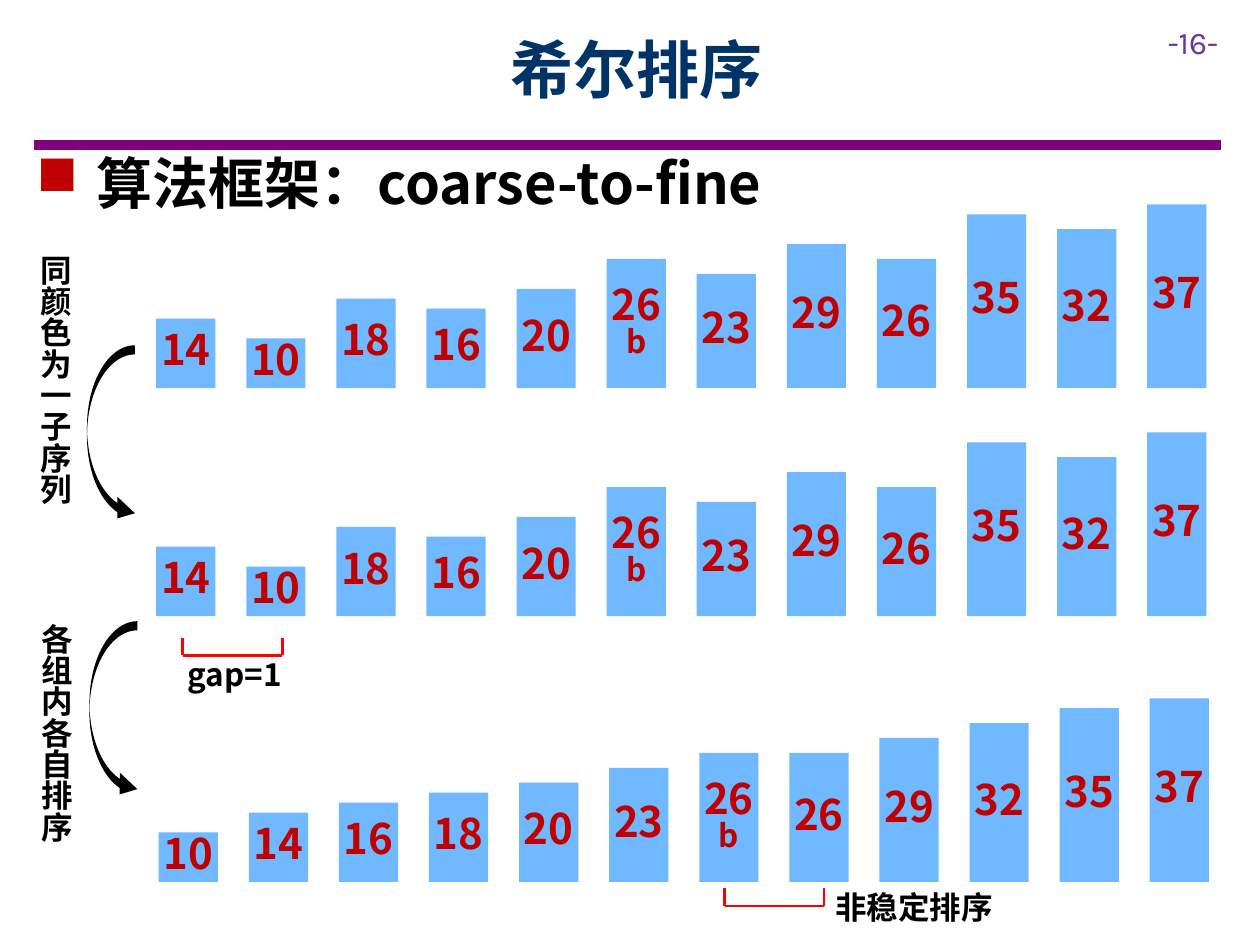
import pptx
import pptx.util
import pptx.dml.color
import pptx.enum.shapes
import pptx.enum.text
import pptx.oxml.ns
import lxml.etree

Inches, Pt = pptx.util.Inches, pptx.util.Pt
ALIGN = pptx.enum.text.PP_ALIGN
ANCHOR = pptx.enum.text.MSO_ANCHOR
SHAPE = pptx.enum.shapes.MSO_SHAPE

# Content
TITLE = "希尔排序"
PAGE_NUMBER = "-16-"
HEADING = " 算法框架：coarse-to-fine"
BEFORE = ["14", "10", "18", "16", "20", "26\nb", "23", "29", "26", "35", "32", "37"]
AFTER = ["10", "14", "16", "18", "20", "23", "26\nb", "26", "29", "32", "35", "37"]
ROWS = [  # left of first bar, common baseline, values
    (1.24, 3.08, BEFORE),
    (1.24, 4.89, BEFORE),
    (1.26, 7.0, AFTER),
]
STEPS = [  # text, text box, arrow left and top
    ("同颜色为一子序列", (0.22, 1.99, 0.52, 2.52), (0.69, 2.74)),
    ("各组内各自排序", (0.23, 4.92, 0.52, 2.22), (0.71, 4.93)),
]
BRACKETS = [  # left, bottom, label, label box
    (1.45, 5.2, "gap=1", (1.39, 5.2, 1.03, 0.4)),
    (5.75, 7.19, "非稳定排序", (6.53, 7.05, 1.46, 0.4)),
]

# Style
COLORS = {
    "title": "003366", "page": "7030A0", "rule": "800080", "text": "000000",
    "accent": "C00000", "bar": "70B8FF", "bracket": "FF0000",
}
FONT, PAGE_FONT = "Noto Sans CJK SC", "Karla"
LINE_SPACING = 0.83
BAR_WIDTH, BAR_PITCH, UNIT_HEIGHT = 0.47, 0.715, 0.0394
ARROW_SIZE, ARROW_ADJUSTMENTS = (0.38, 1.42), (0.191, 0.456, 0.366)
BRACKET_WIDTH, BRACKET_HEIGHT = 0.79, 0.14

presentation = pptx.Presentation()
presentation.slide_width, presentation.slide_height = Inches(10), Inches(7.5)
slide = presentation.slides.add_slide(presentation.slide_layouts[6])


def rgb(name):
    return pptx.dml.color.RGBColor.from_string(COLORS[name])


def add_child(parent, tag, **attributes):
    return lxml.etree.SubElement(parent, pptx.oxml.ns.qn(tag), attributes)


def format_paragraph(paragraph, size, color, align=ALIGN.LEFT, font=FONT, bold=True):
    paragraph.alignment = align
    if font == FONT:
        paragraph.line_spacing = LINE_SPACING
    for run in paragraph.runs:
        run.font.size, run.font.bold, run.font.name = Pt(size), bold, font
        run.font.color.rgb = rgb(color)
        add_child(run.font._element, "a:ea", typeface=font)


def add_text(text, box, size, color, wrap=True, anchor=ANCHOR.TOP, **style):
    frame = slide.shapes.add_textbox(*map(Inches, box)).text_frame
    frame.word_wrap, frame.vertical_anchor = wrap, anchor
    frame.text = text
    format_paragraph(frame.paragraphs[0], size, color, **style)
    return frame.paragraphs[0]


def add_line(start, end, color, width):
    line = slide.shapes.add_connector(
        pptx.enum.shapes.MSO_CONNECTOR.STRAIGHT, *map(Inches, start + end))
    line.line.color.rgb, line.line.width = rgb(color), Pt(width)
    add_child(line._element.spPr, "a:effectLst")


def add_filled_shape(kind, box, color):
    shape = slide.shapes.add_shape(kind, *map(Inches, box))
    shape.shadow.inherit = False
    shape.fill.solid()
    shape.fill.fore_color.rgb = rgb(color)
    shape.line.fill.background()
    return shape


def add_bar(left, baseline, label):
    height = int(label.split("\n")[0]) * UNIT_HEIGHT
    bar = add_filled_shape(
        SHAPE.RECTANGLE, (left, baseline - height, BAR_WIDTH, height), "bar")
    frame = bar.text_frame
    frame.word_wrap, frame.vertical_anchor = True, ANCHOR.MIDDLE
    frame.margin_left = frame.margin_right = 0
    frame.margin_top = frame.margin_bottom = Inches(0.1)
    frame.text = label
    for paragraph, size in zip(frame.paragraphs, (24, 18)):
        format_paragraph(paragraph, size, "accent", ALIGN.CENTER)


# Header
add_line((0.27, 1.15), (9.69, 1.15), "rule", 6)
add_text(PAGE_NUMBER, (9.17, 0.13, 0.83, 0.4), 18, "page", font=PAGE_FONT, bold=False)
add_text(TITLE, (0.9, 0.09, 8.31, 1), 36, "title",
         anchor=ANCHOR.MIDDLE, align=ALIGN.CENTER)

# Bulleted heading
heading = add_text(HEADING, (0.19, 1.22, 9.54, 0.64), 32, "text")
properties = heading._p.get_or_add_pPr()
properties.set("marL", str(Inches(0.38)))
properties.set("indent", str(-Inches(0.38)))
add_child(add_child(properties, "a:buClr"), "a:srgbClr", val=COLORS["accent"])
add_child(properties, "a:buChar", char="■")

# Steps at the left, with curved arrows
for text, box, corner in STEPS:
    arrow = add_filled_shape(SHAPE.CURVED_RIGHT_ARROW, corner + ARROW_SIZE, "text")
    for index, value in enumerate(ARROW_ADJUSTMENTS):
        arrow.adjustments[index] = value
    add_text(text, box, 18, "text")

# Rows of bars
for left, baseline, labels in ROWS:
    for column, label in enumerate(labels):
        add_bar(left + column * BAR_PITCH, baseline, label)

# Brackets with labels
for left, bottom, label, box in BRACKETS:
    right = left + BRACKET_WIDTH
    add_line((right, bottom), (left, bottom), "bracket", 1.5)
    for x in (left, right):
        add_line((x, bottom), (x, bottom - BRACKET_HEIGHT), "bracket", 1.5)
    add_text(label, box, 18, "text", wrap=False)

presentation.save("out.pptx")
